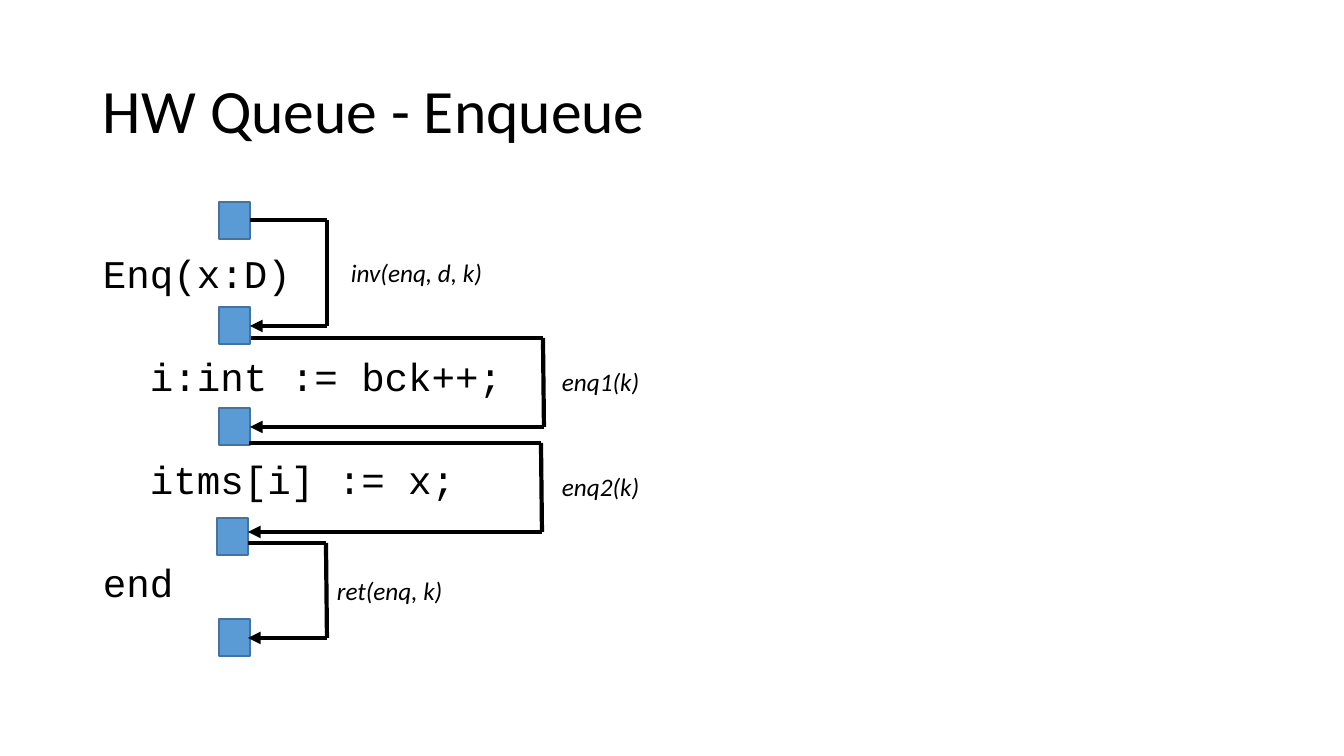
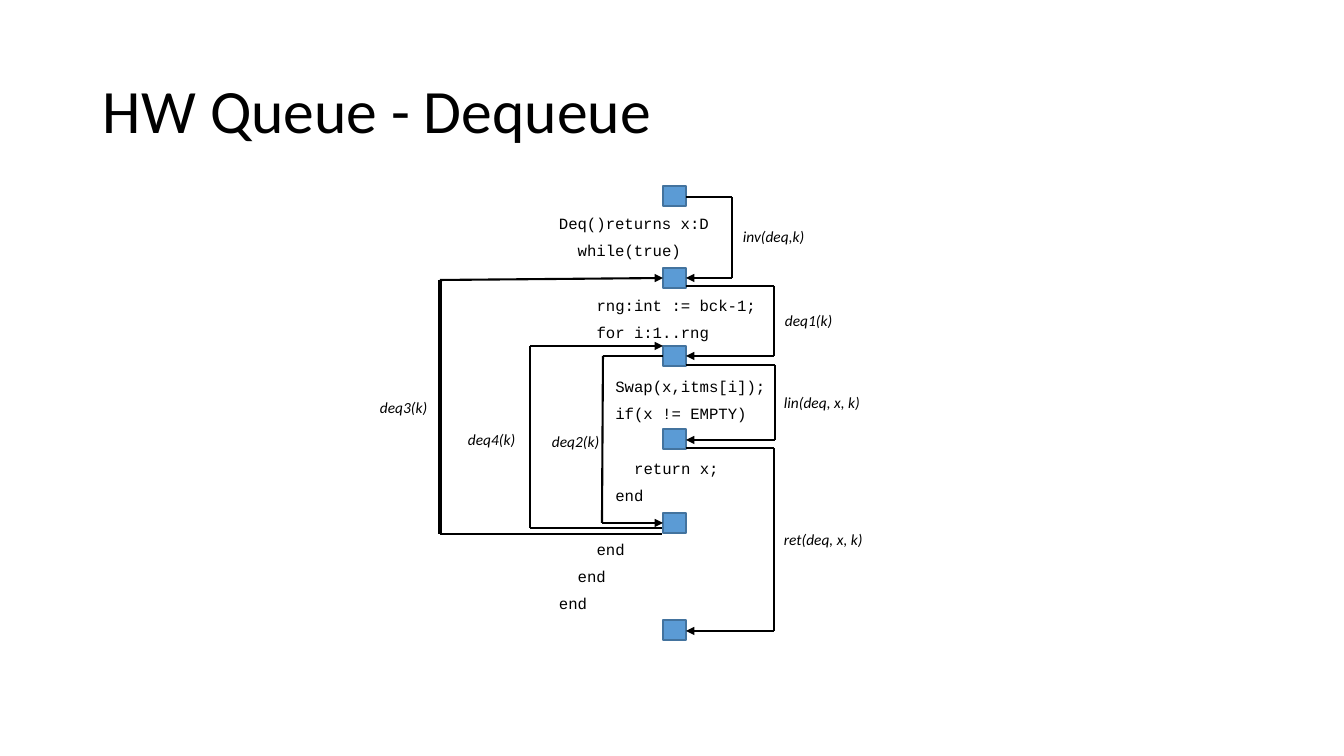
from dataclasses import dataclass
from itertools import pairwise

from lxml.etree import SubElement
from pptx import Presentation
from pptx.dml.color import RGBColor as RGB
from pptx.enum.shapes import MSO_CONNECTOR as LINE, MSO_SHAPE as SHAPE
from pptx.enum.text import MSO_ANCHOR as ANCHOR
from pptx.oxml.ns import qn
from pptx.util import Emu, Pt


@dataclass(frozen=True)
class Theme:
    """Colours, fonts and type sizes of the deck."""
    ink: RGB = RGB(0, 0, 0)
    node: RGB = RGB(0x5B, 0x9B, 0xD5)
    edge: RGB = RGB(0x43, 0x73, 0x9E)
    sans: str = "Calibri"
    mono: str = "Courier New"
    title: float = 44
    code_large: float = 28
    code_small: float = 11.2
    label_large: float = 18
    label_small: float = 11


def px(n):
    """Turn pixels into EMU."""
    return Emu(round(n * 914400 / 100.8))


def put(p, text, *, font, size, color, italic=False):
    """Add a formatted run to a paragraph."""
    r = p.add_run()
    r.text = text
    r.font.name, r.font.size, r.font.italic = font, Pt(size), italic
    r.font.color.rgb = color


class Deck:
    """Holds the theme and the slide being drawn."""

    def __init__(self, theme):
        """Start an empty deck."""
        self.t = theme
        self.prs = Presentation()
        self.prs.slide_width, self.prs.slide_height = px(1344), px(756)

    def slide(self, title):
        """Start a slide with its title."""
        self.s = self.prs.slides.add_slide(self.prs.slide_layouts[6])
        tf = self.box(93, 41, 1159, 146)
        tf.vertical_anchor = ANCHOR.MIDDLE
        p = tf.paragraphs[0]
        p.line_spacing = 0.9
        put(p, title, font=self.t.sans, size=self.t.title, color=self.t.ink)

    def box(self, x, y, w, h):
        """Add a wrapping text box and return its frame."""
        tf = self.s.shapes.add_textbox(px(x), px(y), px(w), px(h)).text_frame
        tf.word_wrap = True
        return tf

    def code(self, x, y, w, h, blocks, size, pitch):
        """Set code on a line pitch, leaving one row free after each block."""
        tf = self.box(x, y, w, h)
        p = tf.paragraphs[0]
        for i, block in enumerate(blocks):
            for j, (depth, text) in enumerate(block):
                if i or j:
                    p = tf.add_paragraph()
                rows = 2 if j == len(block) - 1 else 1
                p.space_after = Pt(rows * pitch - size * 1.195)
                p._p.get_or_add_pPr().set("marL", str(Pt(depth * size * 0.6)))
                put(p, text, font=self.t.mono, size=size, color=self.t.ink)

    def node(self, x, y, w, h):
        """Add a control point."""
        sp = self.s.shapes.add_shape(SHAPE.FLOWCHART_PROCESS, px(x), px(y), px(w), px(h))
        sp.shadow.inherit = False
        sp.fill.solid()
        sp.fill.fore_color.rgb = self.t.node
        sp.line.color.rgb = self.t.edge
        sp.line.width = Pt(1)

    def route(self, points, *widths):
        """Join points by lines, with an arrowhead on the last one."""
        for (start, end), width in zip(pairwise(points), widths):
            c = self.s.shapes.add_connector(LINE.STRAIGHT, *map(px, start + end))
            c.line.color.rgb = self.t.ink
            c.line.width = Pt(width)
            SubElement(c._element.spPr, qn("a:effectLst"))
            if end == points[-1]:
                SubElement(c.line._get_or_add_ln(), qn("a:tailEnd"), type="triangle")

    def label(self, text, x, y, w, h, size):
        """Name a transition."""
        p = self.box(x, y, w, h).paragraphs[0]
        put(p, text, font=self.t.sans, size=size, color=self.t.ink, italic=True)


def enqueue(deck):
    """Draw the enqueue slide."""
    deck.slide("HW Queue - Enqueue")
    blocks = [[(0, "Enq(x:D)")], [(2, "i:int := bck++;")], [(2, "itms[i] := x;")], [(0, "end")]]
    deck.code(93, 244, 470, 430, blocks, deck.t.code_large, 36.8)
    for x, y in [(219, 202), (219, 307), (219, 408), (217, 518), (219, 619)]:
        deck.node(x, y, 31, 37)
    for points in [
        [(250, 220), (327, 220), (327, 326), (250, 326)],
        [(251, 338), (543, 338), (544, 427), (250, 427)],
        [(249, 443), (541, 443), (542, 532), (248, 532)],
        [(248, 543), (326, 543), (327, 638), (248, 638)],
    ]:
        deck.route(points, 3, 3, 3)
    for text, x, y in [("inv(enq, d, k)", 341, 252), ("enq1(k)", 552, 361),
                       ("enq2(k)", 552, 466), ("ret(enq, k)", 327, 570)]:
        deck.label(text, x, y, 201, 40, deck.t.label_large)


def dequeue(deck):
    """Draw the dequeue slide."""
    deck.slide("HW Queue - Dequeue")
    blocks = [
        [(0, "Deq()returns x:D"), (2, "while(true)")],
        [(4, "rng:int := bck-1;"), (4, "for i:1..rng")],
        [(6, "Swap(x,itms[i]);"), (6, "if(x != EMPTY)")],
        [(8, "return x;"), (6, "end")],
        [(4, "end"), (2, "end"), (0, "end")],
    ]
    deck.code(549, 209, 608, 455, blocks, deck.t.code_small, 19.36)
    for y in (186, 268, 346, 429, 513, 620):
        deck.node(663, y, 23, 20)
    for turn, top, bottom in [(732, 197, 278), (774, 286, 356), (775, 365, 440), (774, 448, 631)]:
        deck.route([(686, top), (turn, top), (turn, bottom), (686, bottom)], 1.5, 1.5, 1.5)
    deck.route([(663, 356), (603, 356), (602, 523), (663, 523)], 1.5, 1.5, 1.5)
    deck.route([(662, 528), (530, 528), (530, 346), (663, 346)], 1.5, 1.5, 1.5)
    deck.route([(662, 534), (440, 534), (440, 280), (663, 278)], 1.5, 2.25, 1.5)
    for text, x, y in [
        ("inv(deq,k)", 733, 222), ("deq1(k)", 775, 306), ("lin(deq, x, k)", 774, 388),
        ("ret(deq, x, k)", 774, 525), ("deq2(k)", 542, 427), ("deq3(k)", 370, 393),
        ("deq4(k)", 458, 425),
    ]:
        deck.label(text, x, y, 110, 29, deck.t.label_small)


deck = Deck(Theme())
enqueue(deck)
dequeue(deck)
deck.prs.save("out.pptx")
